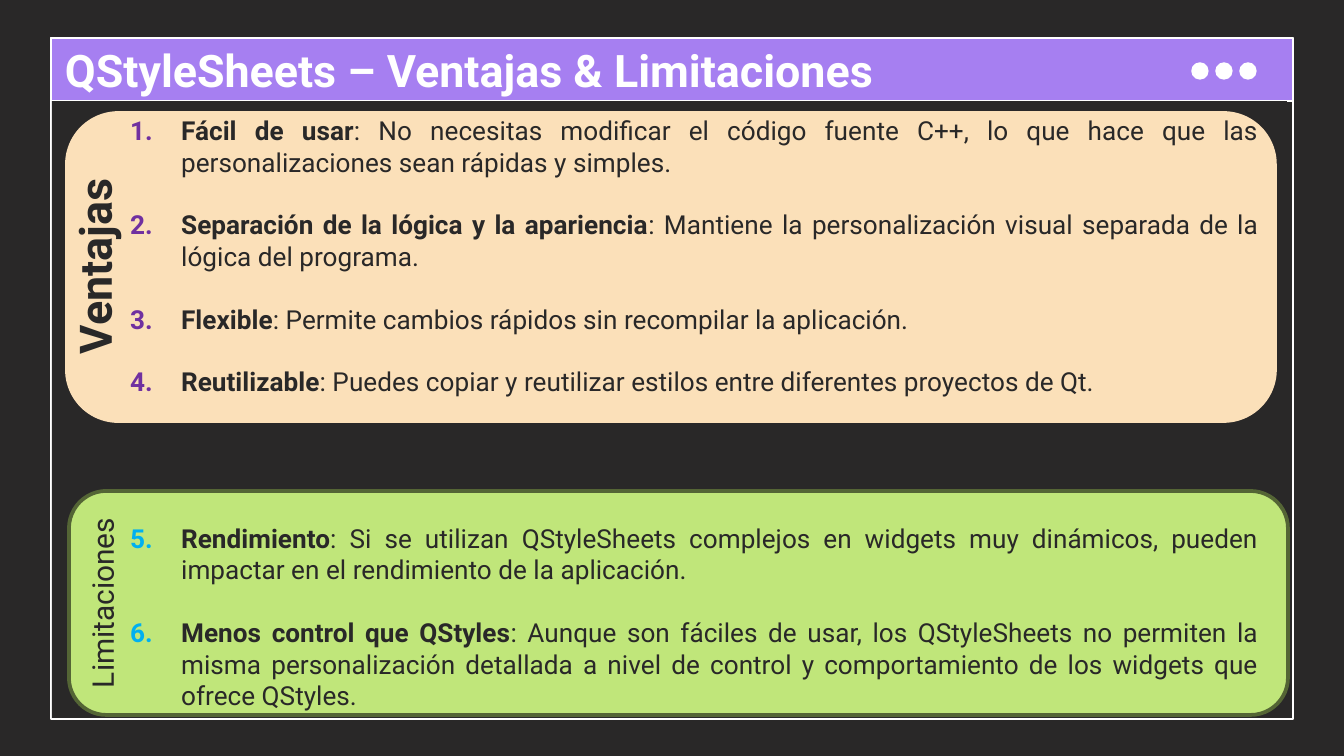
from dataclasses import dataclass

from lxml.etree import SubElement
from pptx import Presentation
from pptx.dml.color import RGBColor
from pptx.enum.shapes import MSO_SHAPE
from pptx.enum.text import MSO_ANCHOR, PP_ALIGN
from pptx.oxml.ns import qn
from pptx.util import Pt

EMU_PER_PX = 914400 / 134.4


@dataclass(frozen=True)
class Theme:
    font: str = "Roboto"
    dark: str = "292828"
    light: str = "FFFFFF"
    header: str = "A67FF1"
    advantage_card: str = "FBE0B9"
    advantage_number: str = "7030A0"
    limit_card: str = "C0E67A"
    limit_border: str = "546535"
    limit_number: str = "00B0F0"
    title_size: float = 24
    label_size: float = 16
    body_size: float = 14
    item_gap: float = 16.8
    thin_line: float = 0.75
    card_line: float = 2


@dataclass(frozen=True)
class Box:
    left: int
    top: int
    width: int
    height: int

    def inner(self, left, top, width, height):
        """Return a box whose corner is given relative to this one."""
        return Box(self.left + left, self.top + top, width, height)

    def emu(self):
        return [px(v) for v in (self.left, self.top, self.width, self.height)]


THEME = Theme()

ADVANTAGES = [
    ("Fácil de usar", ": No necesitas modificar el código fuente C++, lo que hace "
     "que las personalizaciones sean rápidas y simples."),
    ("Separación de la lógica y la apariencia", ": Mantiene la personalización "
     "visual separada de la lógica del programa."),
    ("Flexible", ": Permite cambios rápidos sin recompilar la aplicación."),
    ("Reutilizable", ": Puedes copiar y reutilizar estilos entre diferentes "
     "proyectos de Qt."),
]
LIMITS = [
    ("Rendimiento", ": Si se utilizan QStyleSheets complejos en widgets muy "
     "dinámicos, pueden impactar en el rendimiento de la aplicación."),
    ("Menos control que QStyles", ": Aunque son fáciles de usar, los QStyleSheets "
     "no permiten la misma personalización detallada a nivel de control y "
     "comportamiento de los widgets que ofrece QStyles."),
]


def px(length):
    return round(length * EMU_PER_PX)


def rgb(color):
    return RGBColor.from_string(color)


def add_panel(slide, kind, box, fill=None, line=None, weight=THEME.thin_line):
    panel = slide.shapes.add_shape(kind, *box.emu())
    panel.shadow.inherit = False
    if fill:
        panel.fill.solid()
        panel.fill.fore_color.rgb = rgb(fill)
    else:
        panel.fill.background()
    if line:
        panel.line.color.rgb = rgb(line)
        panel.line.width = Pt(weight)
    else:
        panel.line.fill.background()


def style_run(run, size, color=THEME.dark, bold=False):
    run.font.name = THEME.font
    run.font.size = Pt(size)
    run.font.bold = bold
    run.font.color.rgb = rgb(color)


def add_caption(slide, box, text, size, color=THEME.dark, bold=False,
                align=PP_ALIGN.CENTER):
    caption = slide.shapes.add_textbox(*box.emu())
    frame = caption.text_frame
    frame.word_wrap = True
    frame.vertical_anchor = MSO_ANCHOR.MIDDLE
    frame.text = text
    frame.paragraphs[0].alignment = align
    style_run(frame.paragraphs[0].runs[0], size, color, bold)
    return caption


def add_window(slide, box, title):
    """Draw the outlined window with its title bar, dots and dark body."""
    bar_height = 63
    add_panel(slide, MSO_SHAPE.RECTANGLE, box, line=THEME.light)
    add_panel(slide, MSO_SHAPE.RECTANGLE, box.inner(0, 0, box.width, bar_height),
              THEME.header, THEME.light)
    for index in range(3):
        add_panel(slide, MSO_SHAPE.OVAL, box.inner(1141 + 24 * index, 25, 16, 16),
                  THEME.light, THEME.light)
    add_panel(slide, MSO_SHAPE.RECTANGLE,
              box.inner(1, bar_height, box.width - 7, box.height - bar_height - 1),
              THEME.dark)
    heading = add_caption(slide, box.inner(1, -11, 1133, 85), title, THEME.title_size,
                          THEME.light, True, PP_ALIGN.LEFT)
    heading.text_frame.margin_left = px(13)


def add_card(slide, box, fill, line):
    add_panel(slide, MSO_SHAPE.ROUNDED_RECTANGLE, box, fill, line, THEME.card_line)


def add_side_label(slide, box, center_x, thickness, text, size, bold):
    """Place text that reads upwards along the left side of a card."""
    label_box = box.inner(center_x - box.height // 2, (box.height - thickness) // 2,
                          box.height, thickness)
    add_caption(slide, label_box, text, size, bold=bold).rotation = 270


def number_paragraph(paragraph, color):
    indent = px(51)
    properties = paragraph._p.get_or_add_pPr()
    properties.set("marL", str(indent))
    properties.set("indent", str(-indent))
    bullet_color = SubElement(properties, qn("a:buClr"))
    SubElement(bullet_color, qn("a:srgbClr")).set("val", color)
    SubElement(properties, qn("a:buFont")).set("typeface", "+mj-lt")
    SubElement(properties, qn("a:buAutoNum")).set("type", "arabicPeriod")


def add_numbered_points(slide, box, groups):
    """Number all points in one run, with a wider gap between the groups."""
    frame = slide.shapes.add_textbox(*box.emu()).text_frame
    frame.word_wrap = True
    paragraph = None
    for color, points in groups:
        for position, (term, explanation) in enumerate(points):
            if paragraph is None:
                paragraph = frame.paragraphs[0]
            else:
                paragraph = frame.add_paragraph()
                lines = 1 if position else 4
                paragraph.space_before = Pt(lines * THEME.item_gap)
            paragraph.alignment = PP_ALIGN.JUSTIFY
            number_paragraph(paragraph, color)
            for text, bold in ((term, True), (explanation, False)):
                run = paragraph.add_run()
                run.text = text
                style_run(run, THEME.body_size, bold=bold)


def main():
    presentation = Presentation()
    presentation.slide_width, presentation.slide_height = px(1344), px(756)
    slide = presentation.slides.add_slide(presentation.slide_layouts[6])
    slide.background.fill.solid()
    slide.background.fill.fore_color.rgb = rgb(THEME.dark)

    window = Box(51, 38, 1242, 681)
    advantages = window.inner(16, 75, 1208, 308)
    limits = window.inner(18, 453, 1219, 224)

    add_window(slide, window, "QStyleSheets – Ventajas & Limitaciones")
    add_card(slide, limits, THEME.limit_card, THEME.limit_border)
    add_card(slide, advantages, THEME.advantage_card, THEME.advantage_card)
    add_numbered_points(slide, window.inner(66, 70, 1155, 615), [
        (THEME.advantage_number, ADVANTAGES),
        (THEME.limit_number, LIMITS),
    ])
    add_side_label(slide, advantages, 27, 67, "Ventajas", THEME.title_size, True)
    add_side_label(slide, limits, 33, 50, "Limitaciones", THEME.label_size, False)
    presentation.save("out.pptx")


if __name__ == "__main__":
    main()
